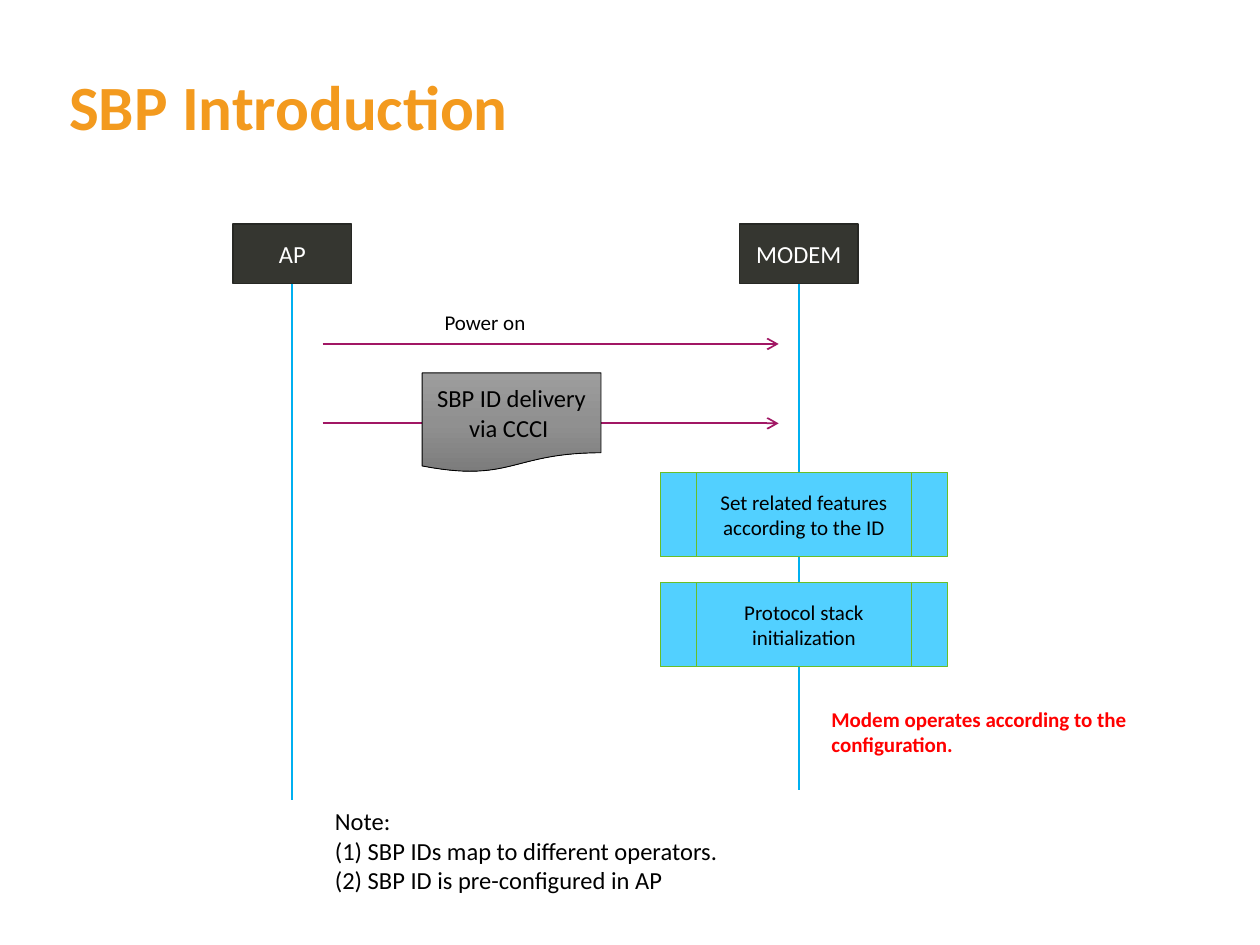
from copy import deepcopy

from lxml import etree
from pptx import Presentation
from pptx.dml.color import RGBColor
from pptx.enum.shapes import MSO_CONNECTOR, MSO_SHAPE
from pptx.enum.text import MSO_ANCHOR, MSO_AUTO_SIZE, PP_ALIGN
from pptx.oxml.ns import qn
from pptx.util import Inches, Pt

RECTANGLE = MSO_SHAPE.RECTANGLE
DOCUMENT = MSO_SHAPE.FLOWCHART_DOCUMENT
PROCESS = MSO_SHAPE.FLOWCHART_PREDEFINED_PROCESS
STRAIGHT = MSO_CONNECTOR.STRAIGHT
CENTER, LEFT = PP_ALIGN.CENTER, PP_ALIGN.LEFT
MIDDLE, TOP = MSO_ANCHOR.MIDDLE, MSO_ANCHOR.TOP
FIT_SHAPE = MSO_AUTO_SIZE.SHAPE_TO_FIT_TEXT

FONT = "Calibri"
COLORS = {
    "title": "F39A1E",
    "actor": "353630",
    "actor_line": "272824",
    "lifeline": "00B0F0",
    "message": "A11764",
    "process": "52D0FF",
    "process_line": "69BE28",
    "warning": "FF0000",
    "black": "000000",
    "white": "FFFFFF",
}
DOCUMENT_GRADIENT = [(0, "9D9D9D"), (0.5, "909090"), (1, "7C7C7C")]
AP_X, MODEM_X = 2.32, 6.34
ACTOR_TOP, ACTOR_WIDTH, ACTOR_HEIGHT = 1.78, 0.94, 0.47
MESSAGE_START, MESSAGE_END = 2.56, 6.18


def rgb(name):
    """Return the named colour."""
    return RGBColor.from_string(COLORS[name])


def write_text(shape, text, size=14, color="black", bold=False, align=LEFT,
               anchor=TOP, wrap=True, spacing=None):
    """Write one formatted paragraph for each line of text."""
    frame = shape.text_frame
    frame.word_wrap = wrap
    frame.vertical_anchor = anchor
    frame.text = text
    for paragraph in frame.paragraphs:
        paragraph.alignment = align
        paragraph.line_spacing = spacing
        for run in paragraph.runs:
            run.font.name = FONT
            run.font.size = Pt(size)
            run.font.bold = bold
            run.font.color.rgb = rgb(color)


def add_label(slide, box, text, **text_format):
    """Add a text box that grows with its text."""
    shape = slide.shapes.add_textbox(*map(Inches, box))
    write_text(shape, text, **text_format)
    shape.text_frame.auto_size = FIT_SHAPE


def add_title(slide, text):
    """Add the slide title without insets."""
    shape = slide.shapes.add_textbox(Inches(0.55), Inches(0.64), Inches(8.9), Inches(1.15))
    frame = shape.text_frame
    frame.margin_left = frame.margin_top = frame.margin_right = frame.margin_bottom = 0
    write_text(shape, text, size=36, color="title", bold=True, spacing=0.82)


def add_box(slide, kind, box, text, line, line_width, fill=None, **text_format):
    """Add an outlined shape with centred text."""
    shape = slide.shapes.add_shape(kind, *map(Inches, box))
    shape.shadow.inherit = False
    if fill:
        shape.fill.solid()
        shape.fill.fore_color.rgb = rgb(fill)
    shape.line.color.rgb = rgb(line)
    shape.line.width = Pt(line_width)
    write_text(shape, text, align=CENTER, anchor=MIDDLE, **text_format)
    return shape


def fill_gradient(shape, stops):
    """Fill a shape from top to bottom with three colour stops."""
    shape.fill.gradient()
    shape.fill.gradient_angle = 270
    stop_list = shape.element.spPr.find(".//" + qn("a:gsLst"))
    stop_list.insert(1, deepcopy(stop_list[0]))
    for stop, (position, color) in zip(shape.fill.gradient_stops, stops):
        stop.position = position
        stop.color.rgb = RGBColor.from_string(color)


def add_line(slide, start, end, color, arrow=False):
    """Add a one-point straight line with an optional arrowhead."""
    connector = slide.shapes.add_connector(STRAIGHT, *map(Inches, start + end))
    connector.line.color.rgb = rgb(color)
    connector.line.width = Pt(1)
    properties = connector.element.spPr
    if arrow:
        outline = properties.find(qn("a:ln"))
        etree.SubElement(outline, qn("a:tailEnd"), type="arrow")
    etree.SubElement(properties, qn("a:effectLst"))


def add_actor(slide, center, name):
    """Add the head box of a lifeline."""
    box = (center - ACTOR_WIDTH / 2, ACTOR_TOP, ACTOR_WIDTH, ACTOR_HEIGHT)
    add_box(slide, RECTANGLE, box, name, "actor_line", 1, fill="actor", color="white")


def main():
    """Build the sequence diagram slide."""
    presentation = Presentation()
    presentation.slide_width, presentation.slide_height = Inches(10), Inches(7.5)
    slide = presentation.slides.add_slide(presentation.slide_layouts[6])

    add_title(slide, "SBP Introduction")
    for center, name, bottom in ((AP_X, "AP", 6.35), (MODEM_X, "MODEM", 6.27)):
        add_actor(slide, center, name)
        add_line(slide, (center, ACTOR_TOP + ACTOR_HEIGHT), (center, bottom), "lifeline")
    for y in (2.73, 3.36):
        add_line(slide, (MESSAGE_START, y), (MESSAGE_END, y), "message", arrow=True)

    add_label(slide, (3.43, 2.41, 0.91, 0.3), "Power on", size=12, wrap=False)
    add_label(slide, (6.5, 5.56, 2.68, 0.5), "Modem operates according to the configuration.",
              size=12, color="warning", bold=True)
    add_label(slide, (2.56, 6.35, 3.26, 0.81),
              "Note:\n(1) SBP IDs map to different operators.\n(2) SBP ID is pre-configured in AP",
              wrap=False)

    document = add_box(slide, DOCUMENT, (3.35, 2.96, 1.42, 0.79),
                       "SBP ID delivery via CCCI ", "black", 0.5)
    fill_gradient(document, DOCUMENT_GRADIENT)
    steps = ("Set related features according to the ID", "Protocol stack initialization")
    for index, step in enumerate(steps):
        add_box(slide, PROCESS, (5.24, 3.75 + index * 0.87, 2.28, 0.67), step,
                "process_line", 0.5, fill="process", size=12)

    presentation.save("out.pptx")


if __name__ == "__main__":
    main()
